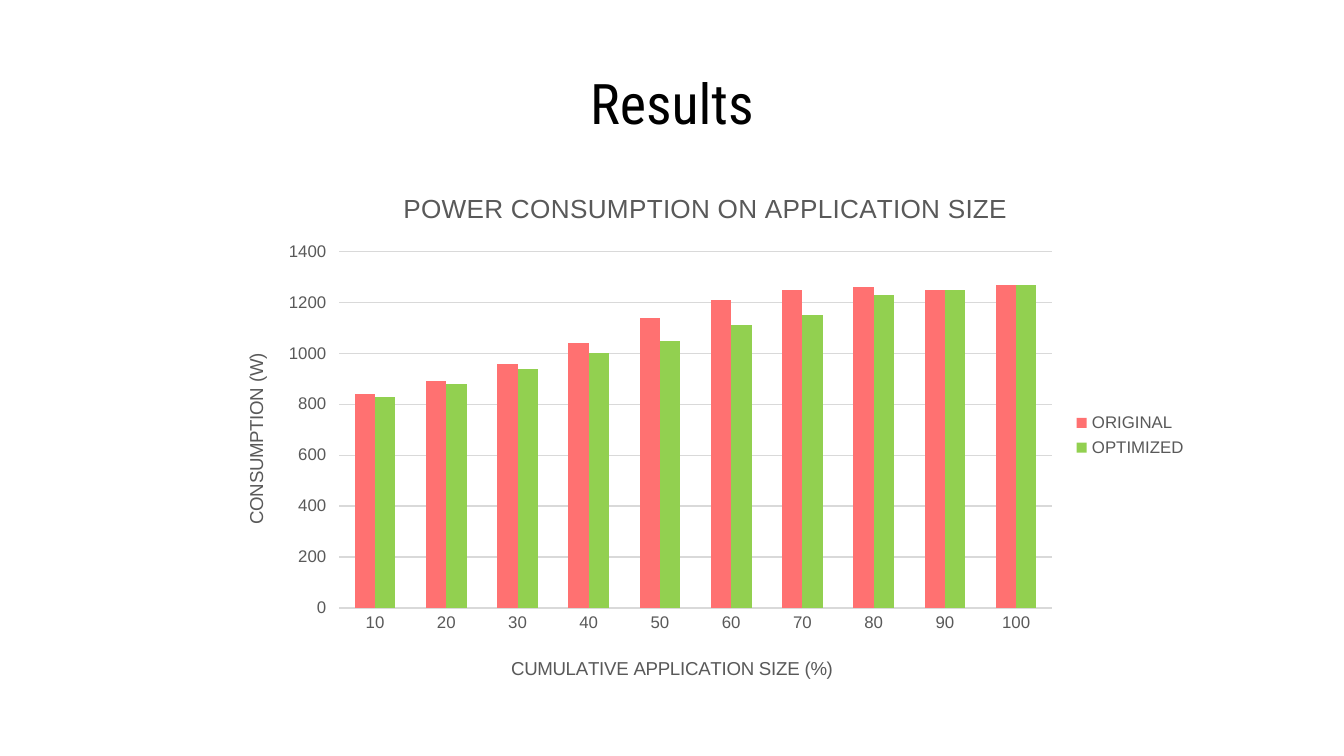
import lxml.etree
import pptx
import pptx.chart.data
import pptx.dml.color
import pptx.enum.chart
import pptx.enum.text
import pptx.oxml.ns
import pptx.util

Pt = pptx.util.Pt
qn = pptx.oxml.ns.qn

# Content
HEADING = "Results"
CHART_TITLE = "POWER CONSUMPTION ON APPLICATION SIZE"
SIZE_TITLE = "CUMULATIVE APPLICATION SIZE (%)"
POWER_TITLE = "CONSUMPTION (W)"
SIZES = [str(percent) for percent in range(10, 101, 10)]
CONSUMPTION = {
    "ORIGINAL": [840, 890, 960, 1040, 1140, 1210, 1250, 1260, 1250, 1270],
    "OPTIMIZED": [830, 880, 940, 1000, 1050, 1110, 1150, 1230, 1250, 1270],
}

THEME = {
    "heading_font": "Roboto Condensed", "chart_font": "Arial",
    "heading_size": 30, "chart_title_size": 14, "axis_title_size": 10, "label_size": 9,
    "black": "000000", "gray": "595959", "grid": "D9D9D9",
    "ORIGINAL": "FF7171", "OPTIMIZED": "92D050",
}


def color(name):
    return pptx.dml.color.RGBColor.from_string(THEME[name])


def style(font, face, size, ink):
    font.name = THEME[face]
    font.size = Pt(THEME[size])
    font.bold = False
    font.color.rgb = color(ink)


def set_layout(element, **fractions):
    """Place a chart part by fractions of the chart's size."""
    layout = element.find(qn("c:layout"))
    if layout is None:
        layout = lxml.etree.Element(qn("c:layout"))
        element.insert(0, layout)
    manual = lxml.etree.SubElement(layout, qn("c:manualLayout"))
    for tag, value in fractions.items():
        lxml.etree.SubElement(manual, qn("c:" + tag)).set("val", str(value))


def set_title(title, wording, size):
    title.text_frame.text = wording
    style(title.text_frame.paragraphs[0].runs[0].font, "chart_font", size, "gray")


def style_axis(axis, wording, x, y):
    set_title(axis.axis_title, wording, "axis_title_size")
    set_layout(axis.axis_title._element, xMode="edge", yMode="edge", x=x, y=y)
    style(axis.tick_labels.font, "chart_font", "label_size", "gray")
    axis.minor_tick_mark = pptx.enum.chart.XL_TICK_MARK.NONE


deck = pptx.Presentation()
deck.slide_width, deck.slide_height = Pt(720), Pt(405)
slide = deck.slides.add_slide(deck.slide_layouts[6])

# Heading
heading = slide.shapes.add_textbox(Pt(36), Pt(42.5), Pt(648), Pt(25)).text_frame
heading.word_wrap = True
heading.vertical_anchor = pptx.enum.text.MSO_ANCHOR.MIDDLE
heading.text = HEADING
heading.paragraphs[0].alignment = pptx.enum.text.PP_ALIGN.CENTER
style(heading.paragraphs[0].runs[0].font, "heading_font", "heading_size", "black")

# Column chart
readings = pptx.chart.data.CategoryChartData(number_format="0")
readings.categories = SIZES
for name, watts in CONSUMPTION.items():
    readings.add_series(name, watts)
chart = slide.shapes.add_chart(
    pptx.enum.chart.XL_CHART_TYPE.COLUMN_CLUSTERED,
    Pt(113), Pt(90.7), Pt(530), Pt(285), readings).chart
style(chart.font, "chart_font", "axis_title_size", "black")
set_title(chart.chart_title, CHART_TITLE, "chart_title_size")
chart.chart_title.include_in_layout = False

columns = chart.plots[0]
columns.gap_width = 150
columns.overlap = 0
columns.vary_by_categories = False
for series in columns.series:
    series.format.fill.solid()
    series.format.fill.fore_color.rgb = color(series.name)
set_layout(chart._chartSpace.chart.plotArea, layoutTarget="inner", xMode="edge",
           yMode="edge", x=0.13, y=0.155, w=0.72, h=0.67)

# Axes
size_axis, power_axis = chart.category_axis, chart.value_axis
style_axis(size_axis, SIZE_TITLE, 0.3, 0.91)
size_axis.major_tick_mark = pptx.enum.chart.XL_TICK_MARK.NONE
style_axis(power_axis, POWER_TITLE, 0.03, 0.34)
power_axis.axis_title.text_frame._txBody.bodyPr.set("rot", "-5400000")
power_axis.major_tick_mark = pptx.enum.chart.XL_TICK_MARK.OUTSIDE
power_axis.minimum_scale, power_axis.maximum_scale, power_axis.major_unit = 0, 1400, 200
power_axis.tick_labels.number_format = "0"
power_axis.tick_labels.number_format_is_linked = False
power_axis.format.line.fill.background()
for line in (size_axis.format.line, power_axis.major_gridlines.format.line):
    line.color.rgb = color("grid")
    line.width = Pt(0.75)

# Legend
chart.has_legend = True
chart.legend.position = pptx.enum.chart.XL_LEGEND_POSITION.RIGHT
chart.legend.include_in_layout = False
style(chart.legend.font, "chart_font", "label_size", "gray")

deck.save("out.pptx")
